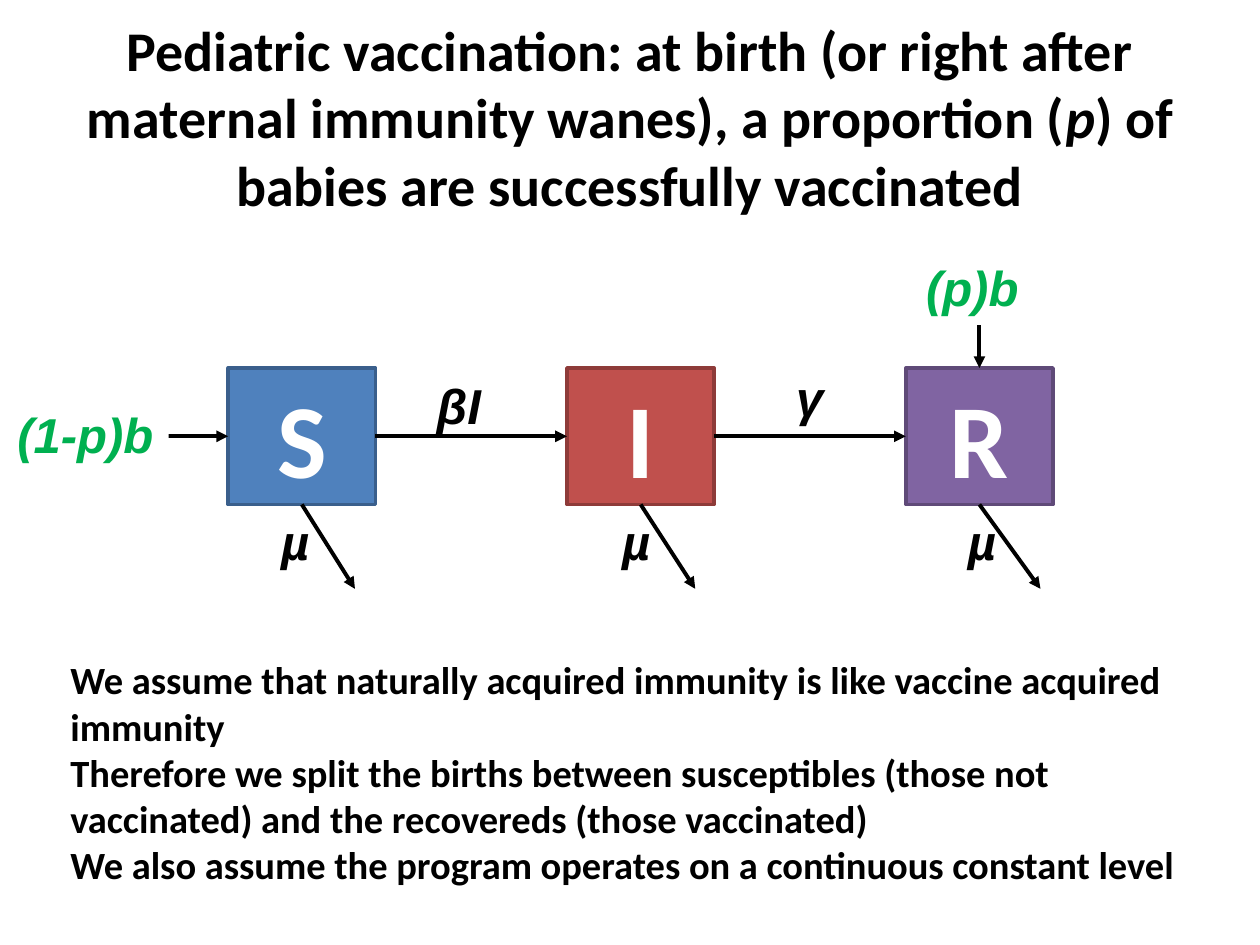
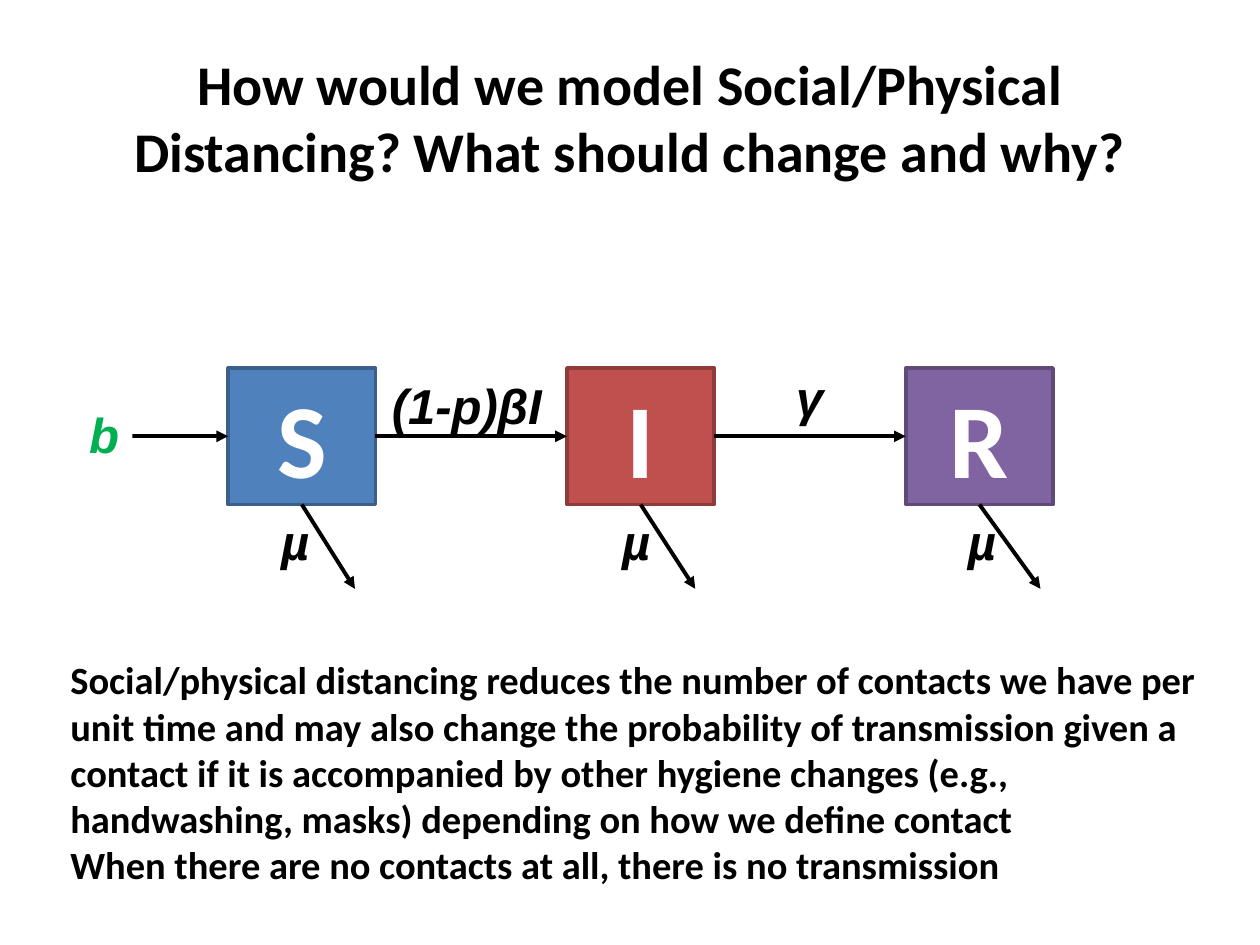
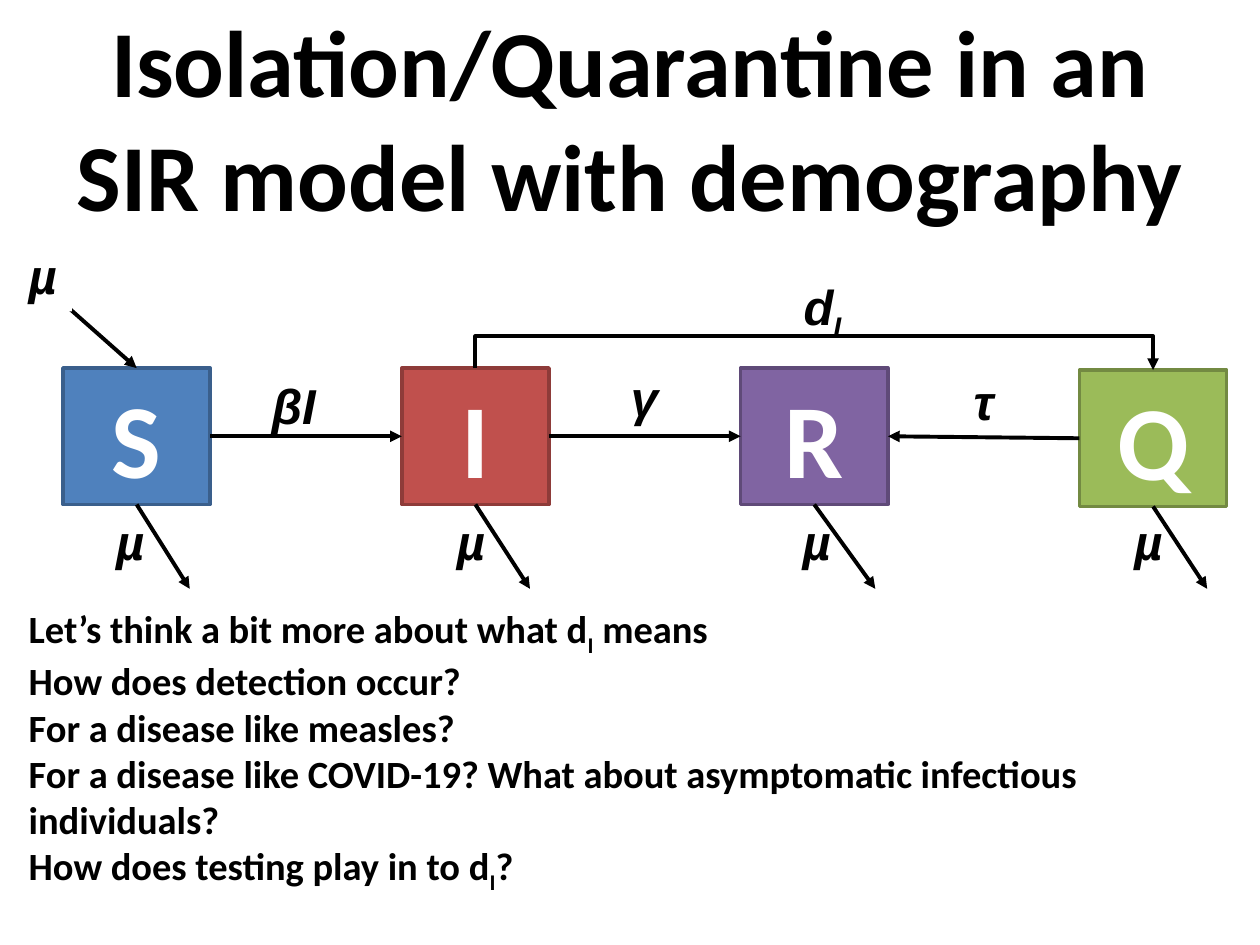
from collections import namedtuple

from lxml import etree
from pptx import Presentation
from pptx.dml.color import RGBColor
from pptx.enum.shapes import MSO_CONNECTOR as Link, MSO_SHAPE as Preset
from pptx.enum.text import MSO_ANCHOR as Anchor, MSO_AUTO_SIZE as Fit, PP_ALIGN as Align
from pptx.oxml.ns import qn
from pptx.util import Cm, Pt

BLACK, WHITE, GREEN = "000000", "FFFFFF", "00B050"
HEADING_FONT, SYMBOL_FONT = "Calibri", "Arial"
TITLE_ONLY = 5

# Diagram lengths in cm
BOX_W, BOX_H, PITCH = 2.97, 2.75, 6.83
DIAGRAM_TOP = 7.42
LABEL_H = 1.45
DEATH_FALL = 1.7
TOP, LEFT, BOTTOM, RIGHT = range(4)

Compartment = namedtuple("Compartment", "letter fill edge death_dx label_dx drop")
SUSCEPTIBLE = Compartment("S", "4F81BD", "3A5F8C", 1.07, 0.82, 0)
INFECTIOUS = Compartment("I", "C0504D", "8E3B39", 1.1, 0.86, 0)
RECOVERED = Compartment("R", "8064A2", "5F4A78", 1.23, 1.0, 0)
QUARANTINED = Compartment("Q", "9BBB59", "738A42", 1.09, 0.86, 0.04)


def rgb(value):
    return RGBColor.from_string(value)


def add_runs(paragraph, runs, size, color=BLACK, font=HEADING_FONT, italic=False):
    """Each run is a plain string or a pair (text, 'sub' or 'italic')."""
    for part in runs:
        text, style = (part, "") if isinstance(part, str) else part
        run = paragraph.add_run()
        run.text = text
        run.font.name = font
        run.font.size = Pt(size)
        run.font.bold = True
        run.font.italic = italic or style == "italic"
        run.font.color.rgb = rgb(color)
        if style == "sub":
            run._r.get_or_add_rPr().set("baseline", "-25000")


def add_title(slide, runs, size):
    title = slide.shapes.title
    title.left, title.top = Cm(1.27), Cm(0.76)
    title.width, title.height = Cm(22.86), Cm(3.18)
    frame = title.text_frame
    frame.auto_size = Fit.NONE
    frame.vertical_anchor = Anchor.MIDDLE
    frame.paragraphs[0].alignment = Align.CENTER
    add_runs(frame.paragraphs[0], runs, size)


def add_notes_text(slide, left, top, width, height, paragraphs):
    box = slide.shapes.add_textbox(Cm(left), Cm(top), Cm(width), Cm(height))
    frame = box.text_frame
    frame.word_wrap = True
    frame.auto_size = Fit.SHAPE_TO_FIT_TEXT
    for index, runs in enumerate(paragraphs):
        paragraph = frame.add_paragraph() if index else frame.paragraphs[0]
        add_runs(paragraph, runs, 22)


def style_arrow(arrow):
    arrow.line.color.rgb = rgb(BLACK)
    arrow.line.width = Pt(2.25)
    etree.SubElement(arrow.line._get_or_add_ln(), qn("a:tailEnd"), type="triangle")
    etree.SubElement(arrow._element.spPr, qn("a:effectLst"))


class Diagram:
    """Row of compartments; positions are in cm from the first box's top left."""

    def __init__(self, slide, left, compartments):
        self.shapes = slide.shapes
        self.left = left
        self.boxes = {}
        for column, compartment in enumerate(compartments):
            self.add_compartment(column * PITCH, compartment)

    def at(self, x, y):
        return Cm(self.left + x), Cm(DIAGRAM_TOP + y)

    def add_compartment(self, x, compartment):
        box = self.shapes.add_shape(
            Preset.RECTANGLE, *self.at(x, compartment.drop), Cm(BOX_W), Cm(BOX_H))
        box.shadow.inherit = False
        box.fill.solid()
        box.fill.fore_color.rgb = rgb(compartment.fill)
        box.line.color.rgb = rgb(compartment.edge)
        box.line.width = Pt(2)
        box.text_frame.vertical_anchor = Anchor.MIDDLE
        paragraph = box.text_frame.paragraphs[0]
        paragraph.alignment = Align.CENTER
        add_runs(paragraph, [compartment.letter], 60, WHITE)
        self.boxes[compartment.letter] = box

        middle = x + BOX_W / 2
        self.arrow((middle, BOX_H + compartment.drop),
                   (middle + compartment.death_dx, BOX_H + DEATH_FALL))
        self.label(["µ"], x + compartment.label_dx, 2.77, 1.09)

    def arrow(self, start, end):
        arrow = self.shapes.add_connector(Link.STRAIGHT, *self.at(*start), *self.at(*end))
        style_arrow(arrow)
        return arrow

    def flow(self, source, target, exit_side=RIGHT, entry_side=LEFT):
        arrow = self.arrow((0, 0), (0, 0))
        arrow.begin_connect(self.boxes[source], exit_side)
        arrow.end_connect(self.boxes[target], entry_side)

    def inflow(self, start, target, entry_side):
        arrow = self.arrow(start, start)
        arrow.end_connect(self.boxes[target], entry_side)

    def bridge(self, first_column, last_column, drop, rise):
        """Bent arrow over the row, from one box top to another slightly lower."""
        span = (last_column - first_column) * PITCH
        x = first_column * PITCH + BOX_W / 2 + span / 2
        y = drop / 2
        arrow = self.shapes.add_connector(
            Link.ELBOW, *self.at(x + drop / 2, y - span / 2),
            *self.at(x - drop / 2, y + span / 2))
        properties = arrow._element.spPr
        properties.find(qn("a:xfrm")).set("rot", "16200000")
        geometry = properties.find(qn("a:prstGeom"))
        guides = geometry.find(qn("a:avLst"))
        if guides is None:
            guides = etree.SubElement(geometry, qn("a:avLst"))
        bend = round(-rise / drop * 100000)
        etree.SubElement(guides, qn("a:gd"), name="adj1", fmla=f"val {bend}")
        style_arrow(arrow)

    def label(self, runs, x, y, width, color=BLACK, filled=False):
        box = self.shapes.add_textbox(*self.at(x, y), Cm(width), Cm(LABEL_H))
        if filled:
            box.fill.solid()
            box.fill.fore_color.rgb = rgb(WHITE)
        box.text_frame.word_wrap = False
        box.text_frame.auto_size = Fit.SHAPE_TO_FIT_TEXT
        add_runs(box.text_frame.paragraphs[0], runs, 28, color, SYMBOL_FONT, True)


def add_sir_chain(slide, left, infection, infection_x, infection_w, extra=()):
    diagram = Diagram(slide, left, [SUSCEPTIBLE, INFECTIOUS, RECOVERED, *extra])
    diagram.flow("S", "I")
    diagram.flow("I", "R")
    diagram.label([infection], infection_x, 0.03, infection_w)
    diagram.label(["γ"], 11.2, -0.13, 1.07)
    return diagram


def add_births(diagram, text, x, width):
    diagram.inflow((-1.93, BOX_H / 2), "S", LEFT)
    diagram.label([text], x, 0.62, width, GREEN, filled=True)


def vaccination_slide(slide):
    add_title(slide, [
        "Pediatric vaccination: at birth (or right after maternal immunity wanes), "
        "a proportion (", ("p", "italic"), ") of babies are successfully vaccinated"], 32)
    diagram = add_sir_chain(slide, 4.6, "βI", 3.96, 1.4)
    add_births(diagram, "(1-p)b", -4.5, 3.3)
    diagram.inflow((2 * PITCH + BOX_W / 2, -0.86), "R", TOP)
    diagram.label(["(p)b"], 13.82, -2.36, 2.41, GREEN, filled=True)
    add_notes_text(slide, 1.17, 13.11, 23.5, 4.95, [
        ["We assume that naturally acquired immunity is like vaccine acquired immunity"],
        ["Therefore we split the births between susceptibles (those not vaccinated) "
         "and the recovereds (those vaccinated)"],
        ["We also assume the program operates on a continuous constant level"]])


def distancing_slide(slide):
    add_title(slide, ["How would we model Social/Physical Distancing? "
                      "What should change and why?"], 32)
    diagram = add_sir_chain(slide, 4.6, "(1-p)βI", 3.05, 3.58)
    add_births(diagram, "b", -3.05, 1.12)
    add_notes_text(slide, 1.17, 13.11, 23.5, 4.95, [
        ["Social/physical distancing reduces the number of contacts we have per unit "
         "time and may also change the probability of transmission given a contact if "
         "it is accompanied by other hygiene changes (e.g., handwashing, masks) "
         "depending on how we define contact"],
        ["When there are no contacts at all, there is no transmission"]])


def quarantine_slide(slide):
    add_title(slide, ["Isolation/Quarantine in an SIR model with demography"], 54)
    diagram = add_sir_chain(slide, 1.27, "βI", 3.96, 1.4, [QUARANTINED])
    diagram.label(["d", ("I", "sub")], 14.68, -1.98, 1.3)
    diagram.inflow((0.05, -1.27), "S", TOP)
    diagram.label(["µ"], -0.94, -2.59, 1.12, filled=True)
    diagram.bridge(1, 3, QUARANTINED.drop, 0.64)
    diagram.flow("Q", "R", LEFT, RIGHT)
    diagram.label(["τ"], 18.11, -0.05, 0.91)
    add_notes_text(slide, 0.33, 12.07, 25.07, 5.89, [
        ["Let’s think a bit more about what d", ("I", "sub"), " means"],
        ["How does detection occur?"],
        ["For a disease like measles?"],
        ["For a disease like COVID-19? What about asymptomatic infectious individuals?"],
        ["How does testing play in to d", ("I", "sub"), "?"]])


def main():
    deck = Presentation()
    deck.slide_width, deck.slide_height = Cm(25.4), Cm(19.05)
    for build in (vaccination_slide, distancing_slide, quarantine_slide):
        build(deck.slides.add_slide(deck.slide_layouts[TITLE_ONLY]))
    deck.save("out.pptx")


if __name__ == "__main__":
    main()
